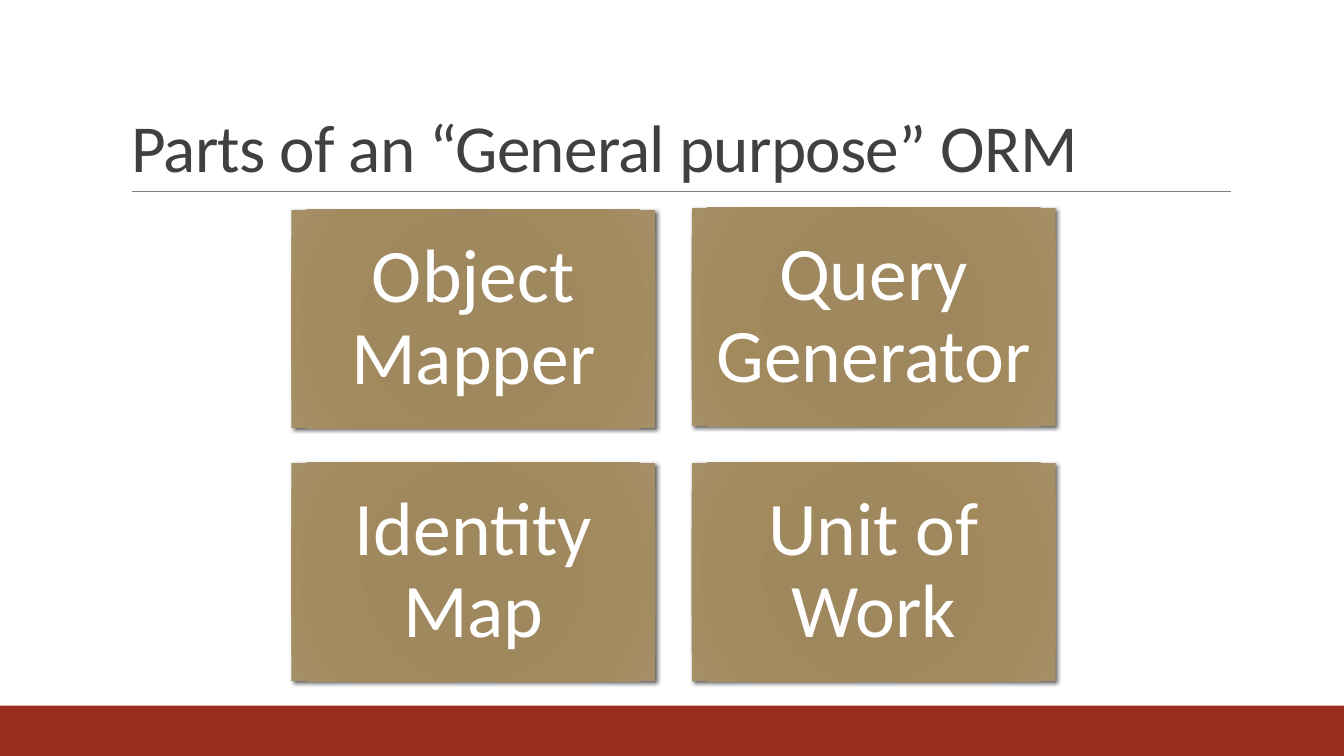
from dataclasses import dataclass

from lxml import etree
from pptx import Presentation
from pptx.dml.color import RGBColor
from pptx.enum.shapes import MSO_CONNECTOR, MSO_SHAPE
from pptx.enum.text import MSO_ANCHOR, PP_ALIGN
from pptx.oxml import parse_xml
from pptx.oxml.ns import nsdecls, qn
from pptx.util import Inches, Pt

LEFT, CENTER = PP_ALIGN.LEFT, PP_ALIGN.CENTER
MIDDLE, BOTTOM = MSO_ANCHOR.MIDDLE, MSO_ANCHOR.BOTTOM
RECTANGLE, STRAIGHT = MSO_SHAPE.RECTANGLE, MSO_CONNECTOR.STRAIGHT

FONT = "Calibri"
WHITE = RGBColor(0xFF, 0xFF, 0xFF)
RED = RGBColor(0x9B, 0x2D, 0x1F)
GRAY = RGBColor(0x80, 0x80, 0x80)
DARK = RGBColor(0x40, 0x40, 0x40)
# Stop position in percent and its colour, from the centre outwards
TILE_GRADIENT = (
    (0, RGBColor(0x9F, 0x87, 0x5B)),
    (34, RGBColor(0x9F, 0x88, 0x5D)),
    (70, RGBColor(0xA3, 0x8A, 0x5D)),
    (100, RGBColor(0xA5, 0x8F, 0x67)),
)

TILE_WIDTH, TILE_HEIGHT, TILE_INSET = 3.61, 2.17, 0.23
LEFT_COLUMN, RIGHT_COLUMN = 2.89, 6.86
BOTTOM_ROW = 4.59


@dataclass(frozen=True)
class Tile:
    text: str
    left: float
    top: float


TILES = (
    Tile("Object Mapper", LEFT_COLUMN, 2.08),
    Tile("Query Generator", RIGHT_COLUMN, 2.06),
    Tile("Identity Map", LEFT_COLUMN, BOTTOM_ROW),
    Tile("Unit of Work", RIGHT_COLUMN, BOTTOM_ROW),
)


def add_rectangle(slide, left: float, top: float, width: float, height: float):
    """Add a rectangle without outline or shadow."""
    shape = slide.shapes.add_shape(
        RECTANGLE, Inches(left), Inches(top), Inches(width), Inches(height)
    )
    shape.shadow.inherit = False
    shape.line.fill.background()
    return shape


def style_tile(shape) -> None:
    """Give a tile its radial gradient and soft shadow."""
    properties = shape._element.spPr
    stops = "".join(
        f'<a:gs pos="{position * 1000}"><a:srgbClr val="{color}"/></a:gs>'
        for position, color in TILE_GRADIENT
    )
    gradient = parse_xml(
        f'<a:gradFill {nsdecls("a")} rotWithShape="1"><a:gsLst>{stops}</a:gsLst>'
        '<a:path path="circle"><a:fillToRect l="100000" t="100000" '
        'r="100000" b="100000"/></a:path></a:gradFill>'
    )
    properties.find(qn("a:prstGeom")).addnext(gradient)
    shadow = parse_xml(
        f'<a:outerShdw {nsdecls("a")} blurRad="{Pt(3)}" dist="{Pt(2)}" '
        'dir="2700000" algn="br" rotWithShape="0">'
        '<a:srgbClr val="000000"><a:alpha val="60000"/></a:srgbClr></a:outerShdw>'
    )
    properties.find(qn("a:effectLst")).append(shadow)


def format_text(shape, text: str, size: float, color: RGBColor, spacing: float,
                alignment, anchor):
    """Fill a shape with one paragraph and return that paragraph."""
    frame = shape.text_frame
    frame.word_wrap = True
    frame.vertical_anchor = anchor
    paragraph = frame.paragraphs[0]
    paragraph.text = text
    paragraph.alignment = alignment
    paragraph.line_spacing = spacing
    paragraph.font.name = FONT
    paragraph.font.size = Pt(size)
    paragraph.font.color.rgb = color
    return paragraph


def add_tile(slide, tile: Tile) -> None:
    shape = add_rectangle(slide, tile.left, tile.top, TILE_WIDTH, TILE_HEIGHT)
    style_tile(shape)
    frame = shape.text_frame
    frame.margin_left = frame.margin_right = Inches(TILE_INSET)
    frame.margin_top = frame.margin_bottom = Inches(TILE_INSET)
    format_text(shape, tile.text, 54, WHITE, 0.9, CENTER, MIDDLE)


def add_title(slide, text: str) -> None:
    title = slide.shapes.title
    title.left, title.top = Inches(1.2), Inches(0.31)
    title.width, title.height = Inches(11), Inches(1.59)
    paragraph = format_text(title, text, 48, DARK, 0.85, LEFT, BOTTOM)
    paragraph.runs[0].font._element.set("spc", "-50")


def add_title_rule(slide) -> None:
    rule = slide.shapes.add_connector(
        STRAIGHT, Inches(1.31), Inches(1.9), Inches(12.21), Inches(1.9)
    )
    rule.line.color.rgb = GRAY
    rule.line.width = Pt(0.5)
    etree.SubElement(rule._element.spPr, qn("a:effectLst"))


def main() -> None:
    presentation = Presentation()
    presentation.slide_width = Inches(13.33)
    presentation.slide_height = Inches(7.5)
    slide = presentation.slides.add_slide(presentation.slide_layouts[5])

    # Footer band
    band = add_rectangle(slide, 0, 7, 13.33, 0.5)
    band.fill.solid()
    band.fill.fore_color.rgb = RED

    # Title and rule
    add_title_rule(slide)
    add_title(slide, "Parts of an “General purpose” ORM")

    # Tiles
    for tile in TILES:
        add_tile(slide, tile)

    presentation.save("out.pptx")


if __name__ == "__main__":
    main()
